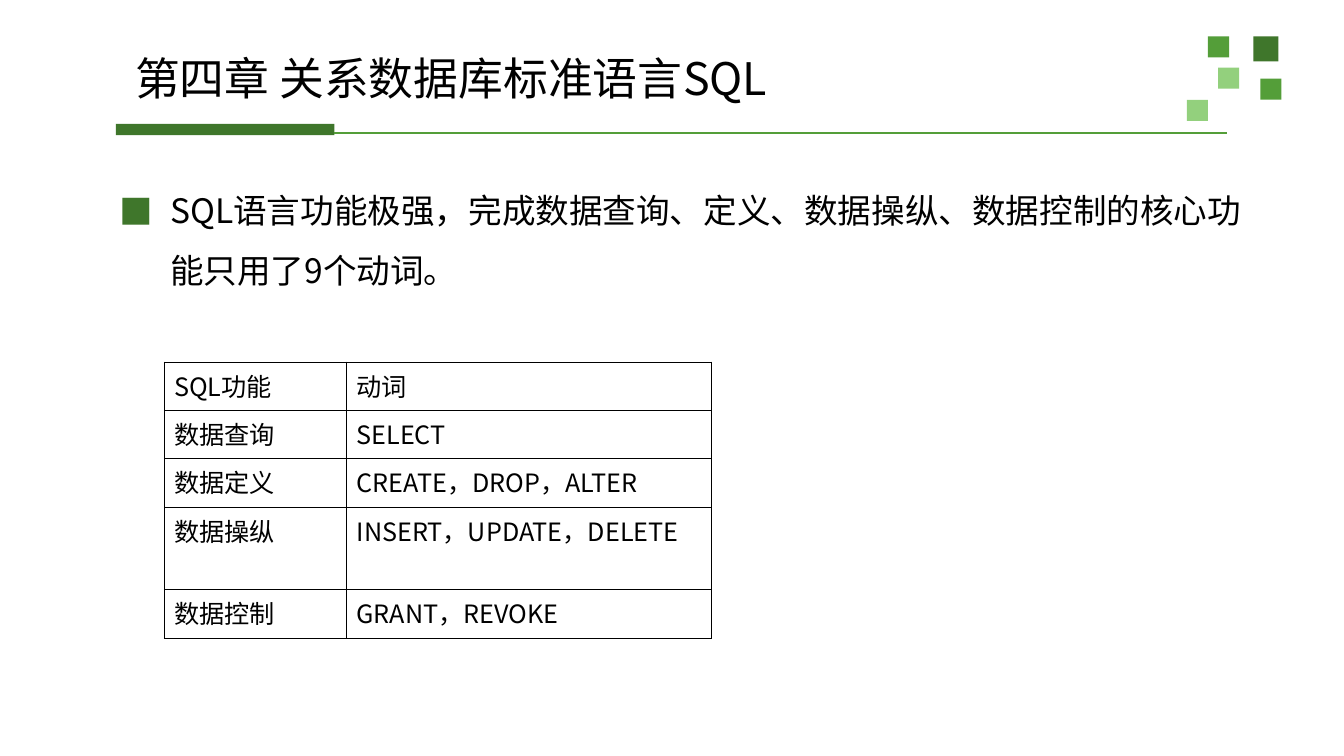
from lxml import etree
from pptx import Presentation
from pptx.dml.color import RGBColor
from pptx.enum import shapes, text
from pptx.oxml import ns
from pptx.util import Inches, Pt

FONT = "Noto Sans CJK SC"
BLACK = RGBColor(0x00, 0x00, 0x00)
DARK_GREEN = RGBColor(0x3F, 0x76, 0x2B)
GREEN = RGBColor(0x54, 0x9E, 0x39)
LIGHT_GREEN = RGBColor(0x93, 0xD0, 0x7D)


def add_element(parent, tag, **attributes):
    return etree.SubElement(parent, ns.qn(tag), attributes)


def format_text(frame, size, hanging=0):
    para = frame.paragraphs[0]
    para.alignment = text.PP_ALIGN.LEFT
    properties = para._p.get_or_add_pPr()
    properties.set("marL", str(Inches(hanging)))
    properties.set("indent", str(-Inches(hanging)))
    for span in para.runs:
        span.font.size = Pt(size)
        span.font.bold = False
        span.font.color.rgb = BLACK
        span.font.name = FONT
        add_element(span._r.get_or_add_rPr(), "a:ea", typeface=FONT)
    return para


deck = Presentation()
deck.slide_width = Inches(13.34)
deck.slide_height = Inches(7.5)
page = deck.slides.add_slide(deck.slide_layouts[5])

blocks = [
    (12.44, 0.36, 0.25, 0.25, DARK_GREEN),
    (11.99, 0.36, 0.21, 0.21, GREEN),
    (12.51, 0.78, 0.21, 0.21, GREEN),
    (12.09, 0.67, 0.21, 0.21, LIGHT_GREEN),
    (11.78, 0.99, 0.21, 0.21, LIGHT_GREEN),
    (1.15, 1.23, 2.17, 0.11, DARK_GREEN),
]
for left, top, width, height, color in blocks:
    block = page.shapes.add_shape(
        shapes.MSO_SHAPE.RECTANGLE,
        Inches(left), Inches(top), Inches(width), Inches(height),
    )
    block.shadow.inherit = False
    block.fill.solid()
    block.fill.fore_color.rgb = color
    block.line.fill.background()

rule = page.shapes.add_connector(
    shapes.MSO_CONNECTOR.STRAIGHT,
    Inches(3.32), Inches(1.32), Inches(12.18), Inches(1.32),
)
rule.line.color.rgb = GREEN
rule.line.width = Pt(2)
add_element(rule._element.spPr, "a:effectLst")

title = page.shapes.title
title.left, title.top = Inches(1.14), Inches(0.35)
title.width, title.height = Inches(11.28), Inches(0.91)
title.text_frame.text = "第四章 关系数据库标准语言SQL"
title.text_frame.auto_size = text.MSO_AUTO_SIZE.NONE
title.text_frame.vertical_anchor = text.MSO_ANCHOR.MIDDLE
title.text_frame.margin_left = Inches(0.2)
format_text(title.text_frame, 32).line_spacing = 0.9

box = page.shapes.add_textbox(Inches(1.11), Inches(1.64), Inches(11.31), Inches(1.48))
frame = box.text_frame
frame.word_wrap = True
frame.margin_left = frame.margin_right = Inches(0.08)
frame.margin_top = frame.margin_bottom = Inches(0.04)
frame.text = "SQL语言功能极强，完成数据查询、定义、数据操纵、数据控制的核心功能只用了9个动词。"
para = format_text(frame, 24, 0.5)
para.line_spacing = 1.5
bullet_color = add_element(para._p.pPr, "a:buClr")
add_element(bullet_color, "a:srgbClr", val=str(DARK_GREEN))
add_element(para._p.pPr, "a:buFont", typeface=FONT)
add_element(para._p.pPr, "a:buChar", char="■")

verbs = [
    ("SQL功能", "动词"),
    ("数据查询", "SELECT"),
    ("数据定义", "CREATE，DROP，ALTER"),
    ("数据操纵", "INSERT，UPDATE，DELETE"),
    ("数据控制", "GRANT，REVOKE"),
]
table = page.shapes.add_table(
    len(verbs), 2, Inches(1.63), Inches(3.59), Inches(5.43), Inches(2.73)
).table
table.first_row = table.horz_banding = False
for column, width in zip(table.columns, (1.81, 3.62)):
    column.width = Inches(width)
for row, height, entries in zip(table.rows, (0.48, 0.48, 0.48, 0.82, 0.48), verbs):
    row.height = Inches(height)
    for cell, entry in zip(row.cells, entries):
        cell.text_frame.text = entry
        format_text(cell.text_frame, 18, 0.38)
        for side in ("a:lnL", "a:lnR", "a:lnT", "a:lnB"):
            border = add_element(cell._tc.get_or_add_tcPr(), side, w=str(Pt(0.45)))
            add_element(add_element(border, "a:solidFill"), "a:srgbClr", val=str(BLACK))
        cell.fill.background()

deck.save("out.pptx")
